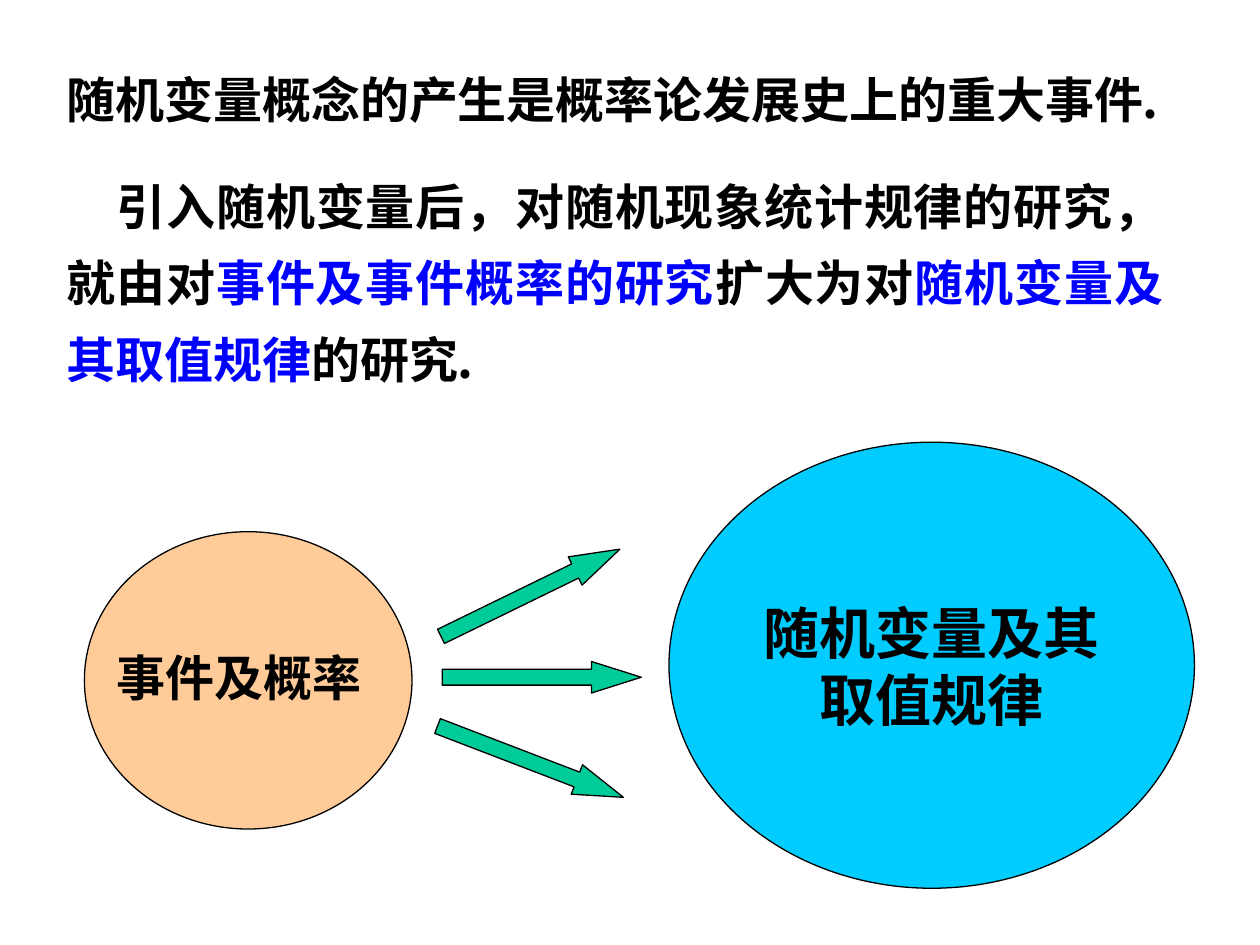
"""Build a slide on how random variables widen the study of events."""
from pptx import Presentation, util as u
from pptx.dml.color import RGBColor
from pptx.enum import shapes, text
from pptx.oxml.ns import qn
from lxml import etree

HUES = {"ink": "000000", "key": "0000FF", "peach": "FFCC99",
        "sky": "00CCFF", "green": "00CC99"}
SANS, SERIF = "Noto Sans CJK SC", "Times New Roman"
KIND = shapes.MSO_SHAPE
ALIGN = text.PP_ALIGN


def write(para, words, size=28, face=SERIF, hue="ink"):
    run = para.add_run()
    run.text = words
    run.font.size = u.Pt(size)
    run.font.bold = True
    run.font.name = face
    run.font.color.rgb = RGBColor.from_string(HUES[hue])
    etree.SubElement(run._r.get_or_add_rPr(), qn("a:ea")).set("typeface", SANS)


def draw(kind, left, top, width, height, hue):
    form = slide.shapes.add_shape(kind, *map(u.Inches, (left, top, width, height)))
    form.shadow.inherit = False
    form.fill.solid()
    form.fill.fore_color.rgb = RGBColor.from_string(HUES[hue])
    form.line.color.rgb = RGBColor.from_string(HUES["ink"])
    form.line.width = u.Pt(0.75)
    return form


deck = Presentation()
deck.slide_width, deck.slide_height = u.Inches(10), u.Inches(7.5)
slide = deck.slides.add_slide(deck.slide_layouts[6])

box = slide.shapes.add_textbox(u.Inches(0.43), u.Inches(0.36), u.Inches(8.9), u.Inches(3.38))
frame = box.text_frame
frame.word_wrap = True
lead, body = frame.paragraphs[0], frame.add_paragraph()
for para in (lead, body):
    para.line_spacing = 1.3
    para._p.get_or_add_pPr().set("hangingPunct", "0")
write(lead, "随机变量概念的产生是概率论发展史上的重大事件.", face=SANS)

body.space_before = u.Pt(17.5)
body.alignment = ALIGN.JUSTIFY
body._p.get_or_add_pPr().set("indent", str(u.Inches(0.4)))
for words, hue in [("引入随机变量后，对随机现象统计规律的研究，就由对", "ink"),
                   ("事件及事件概率的研究", "key"),
                   ("扩大为对", "ink"),
                   ("随机变量及其取值规律", "key"),
                   ("的研究.", "ink")]:
    write(body, words, face=SANS, hue=hue)

draw(KIND.OVAL, 0.67, 4.22, 2.6, 2.36, "peach")
label = slide.shapes.add_textbox(u.Inches(0.83), u.Inches(5.09), u.Inches(2.52), u.Inches(0.57))
label.text_frame.word_wrap = True
write(label.text_frame.paragraphs[0], "事件及概率")

for left, top, turn in [(3.51, 5.25, 0), (3.42, 4.58, 334), (3.42, 5.92, 21)]:
    arrow = draw(KIND.RIGHT_ARROW, left, top, 1.58, 0.25, "green")
    arrow.adjustments[0] = 0.5
    arrow.adjustments[1] = 1.58
    arrow.rotation = turn

goal = draw(KIND.OVAL, 5.31, 3.51, 4.17, 3.54, "sky").text_frame
goal.word_wrap = False
goal.vertical_anchor = text.MSO_ANCHOR.MIDDLE
goal.add_paragraph()
for para, words in zip(goal.paragraphs, ["随机变量及其", "取值规律"]):
    para.alignment = ALIGN.CENTER
    write(para, words, size=32)

deck.save("out.pptx")
